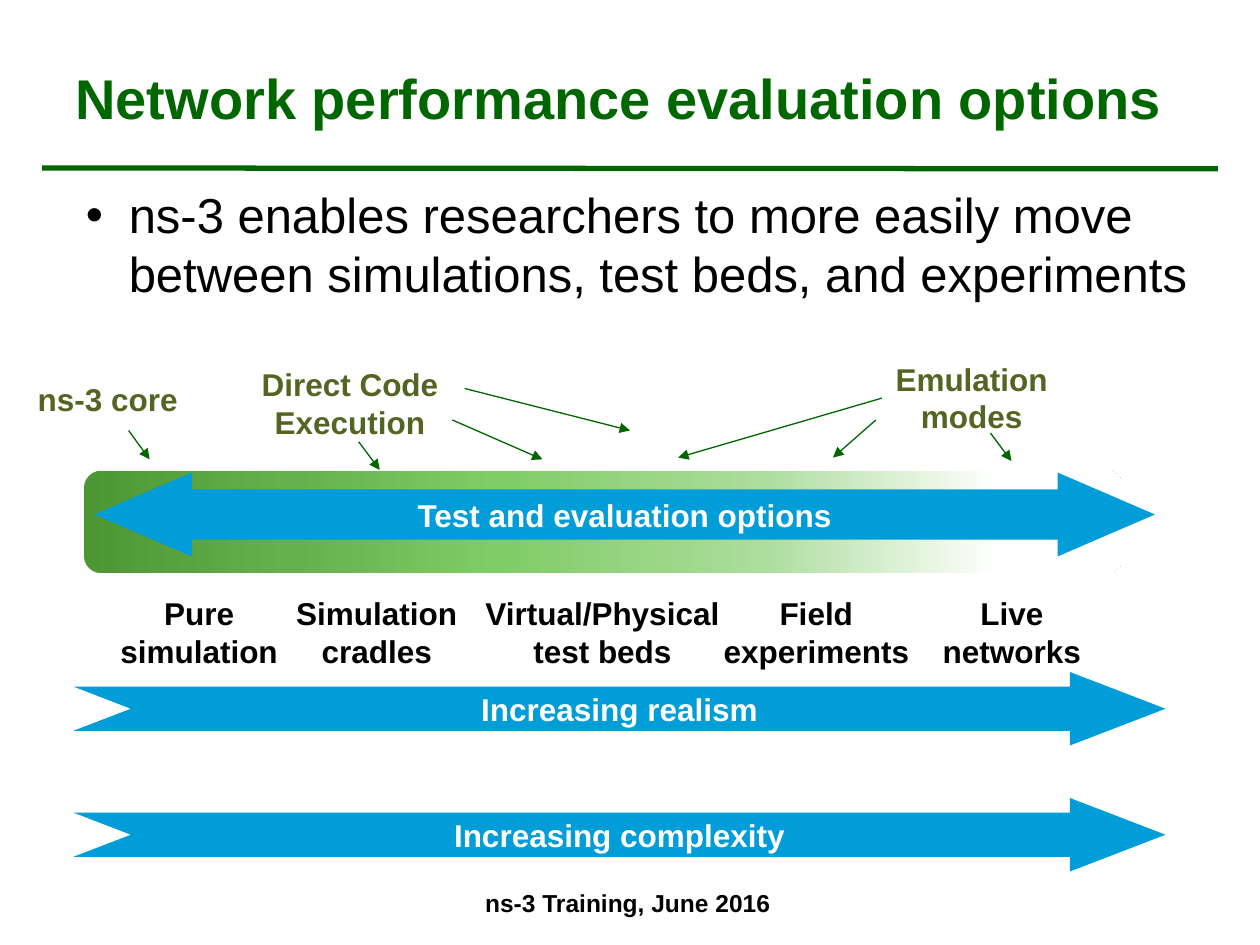
from lxml import etree
from pptx import Presentation
from pptx.dml.color import RGBColor
from pptx.enum.shapes import MSO_CONNECTOR, MSO_SHAPE
from pptx.enum.text import MSO_ANCHOR, MSO_AUTO_SIZE, PP_ALIGN
from pptx.oxml.ns import qn
from pptx.util import Pt

STRAIGHT = MSO_CONNECTOR.STRAIGHT
ROUNDED = MSO_SHAPE.ROUNDED_RECTANGLE
NOTCHED_ARROW = MSO_SHAPE.NOTCHED_RIGHT_ARROW
DOUBLE_ARROW = MSO_SHAPE.LEFT_RIGHT_ARROW
TOP, MIDDLE = MSO_ANCHOR.TOP, MSO_ANCHOR.MIDDLE
LEFT, CENTER = PP_ALIGN.LEFT, PP_ALIGN.CENTER
FIXED, GROW = MSO_AUTO_SIZE.NONE, MSO_AUTO_SIZE.SHAPE_TO_FIT_TEXT

GREEN = RGBColor(0x00, 0x66, 0x00)
OLIVE = RGBColor(0x54, 0x64, 0x22)
BLUE = RGBColor(0x00, 0x9D, 0xD9)
BLACK = RGBColor(0x00, 0x00, 0x00)
WHITE = RGBColor(0xFF, 0xFF, 0xFF)
SPECTRUM = [
    (0, RGBColor(0x4C, 0x96, 0x33)),
    (20, RGBColor(0x66, 0xB1, 0x4D)),
    (40, RGBColor(0x80, 0xCC, 0x67)),
    (65, RGBColor(0xAB, 0xDD, 0x9B)),
    (88, WHITE),
]

# Text, left, top, width, height
TOOL_LABELS = [
    ("ns-3 core", 14, 213.5, 95, 29),
    ("Direct Code\nExecution", 141.5, 205, 117, 51),
    ("Emulation\nmodes", 504, 202, 102.5, 51),
]
# Text, left, width
OPTION_LABELS = [
    ("Pure\nsimulation", 61.5, 104.5),
    ("Simulation\ncradles", 162, 106.5),
    ("Virtual/Physical\ntest beds", 270, 148.5),
    ("Field\nexperiments", 404.5, 124),
    ("Live\nnetworks", 531.5, 93.5),
]
# Start x, start y, end x, end y
POINTERS = [
    (73.5, 246, 85.5, 262.5),
    (205, 252.5, 217, 268.5),
    (566, 247.5, 578, 263.5),
    (504, 227.5, 387.5, 261.5),
    (500.5, 240, 476, 261.5),
    (258.5, 240, 310, 262.5),
    (265.5, 222, 360, 246),
]


def set_text(shape, text, size=18, color=BLACK, bold=True, align=CENTER,
             anchor=TOP, wrap=False, fit=FIXED):
    frame = shape.text_frame
    frame.word_wrap = wrap
    frame.auto_size = fit
    frame.vertical_anchor = anchor
    for index, line in enumerate(text.split("\n")):
        para = frame.add_paragraph() if index else frame.paragraphs[0]
        para.alignment = align
        span = para.add_run()
        span.text = line
        span.font.name = "Arial"
        span.font.size = Pt(size)
        span.font.bold = bold
        span.font.color.rgb = color


def add_text(page, text, left, top, width, height, **text_format):
    box = page.shapes.add_textbox(Pt(left), Pt(top), Pt(width), Pt(height))
    set_text(box, text, **text_format)
    return box


def add_line(page, start_x, start_y, end_x, end_y, weight=0.75, arrow=True):
    line = page.shapes.add_connector(
        STRAIGHT, Pt(start_x), Pt(start_y), Pt(end_x), Pt(end_y))
    line.line.color.rgb = GREEN
    line.line.width = Pt(weight)
    if arrow:
        outline = line.line._get_or_add_ln()
        etree.SubElement(outline, qn("a:tailEnd"), type="triangle")
    etree.SubElement(line._element.spPr, qn("a:effectLst"))


def add_plain_shape(page, kind, left, top, width, height):
    """Add a preset shape without outline or shadow."""
    shape = page.shapes.add_shape(
        kind, Pt(left), Pt(top), Pt(width), Pt(height))
    shape.shadow.inherit = False
    shape.line.fill.background()
    return shape


def add_block_arrow(page, kind, text, left, top, width, height, adjustments):
    arrow = add_plain_shape(page, kind, left, top, width, height)
    for index, value in enumerate(adjustments):
        arrow.adjustments[index] = value
    arrow.fill.solid()
    arrow.fill.fore_color.rgb = BLUE
    set_text(arrow, text, color=WHITE, anchor=MIDDLE)


def add_spectrum_bar(page, left, top, width, height):
    bar = add_plain_shape(page, ROUNDED, left, top, width, height)
    bar.fill.gradient()
    bar.fill.gradient_angle = 0
    stops = bar._element.spPr.find(qn("a:gradFill")).find(qn("a:gsLst"))
    for stop in list(stops):
        stops.remove(stop)
    for percent, color in SPECTRUM:
        stop = etree.SubElement(stops, qn("a:gs"), pos=str(percent * 1000))
        etree.SubElement(stop, qn("a:srgbClr"), val=str(color))


def add_bullet(para, indent):
    para.space_before = Pt(8)
    properties = para._p.get_or_add_pPr()
    properties.set("marL", str(Pt(indent)))
    properties.set("indent", str(-Pt(indent)))
    color = etree.SubElement(properties, qn("a:buClr"))
    etree.SubElement(color, qn("a:srgbClr"), val=str(BLACK))
    etree.SubElement(properties, qn("a:buFont"), typeface="Arial")
    etree.SubElement(properties, qn("a:buChar"), char="•")


def main():
    deck = Presentation()
    deck.slide_width, deck.slide_height = Pt(720), Pt(540)
    page = deck.slides.add_slide(deck.slide_layouts[6])

    add_line(page, 24, 96, 696, 96.5, weight=3, arrow=False)
    add_text(page, "Network performance evaluation options", 36, 21.5, 646, 68,
             size=32, color=GREEN, align=LEFT, anchor=MIDDLE, wrap=True)
    body = add_text(
        page, "ns-3 enables researchers to more easily move between "
        "simulations, test beds, and experiments", 42, 102, 646, 384,
        size=28, bold=False, align=LEFT, wrap=True)
    add_bullet(body.text_frame.paragraphs[0], 24.5)

    add_spectrum_bar(page, 48, 269, 594, 58.5)
    for text, *place in TOOL_LABELS:
        add_text(page, text, *place, color=OLIVE, fit=GROW)
    for ends in POINTERS:
        add_line(page, *ends)

    for text, top in (("Increasing realism", 384),
                      ("Increasing complexity", 456)):
        add_block_arrow(page, NOTCHED_ARROW, text, 42, top, 624, 42,
                        (0.6, 1.3))
    for text, left, width in OPTION_LABELS:
        add_text(page, text, left, 336, width, 50.5, fit=GROW)
    add_block_arrow(page, DOUBLE_ARROW, "Test and evaluation options",
                    54, 270, 606, 48, (0.6, 1.16))

    add_text(page, "ns-3 Training, June 2016", 246, 504, 225.5, 36,
             size=14, wrap=True)
    deck.save("out.pptx")


if __name__ == "__main__":
    main()
